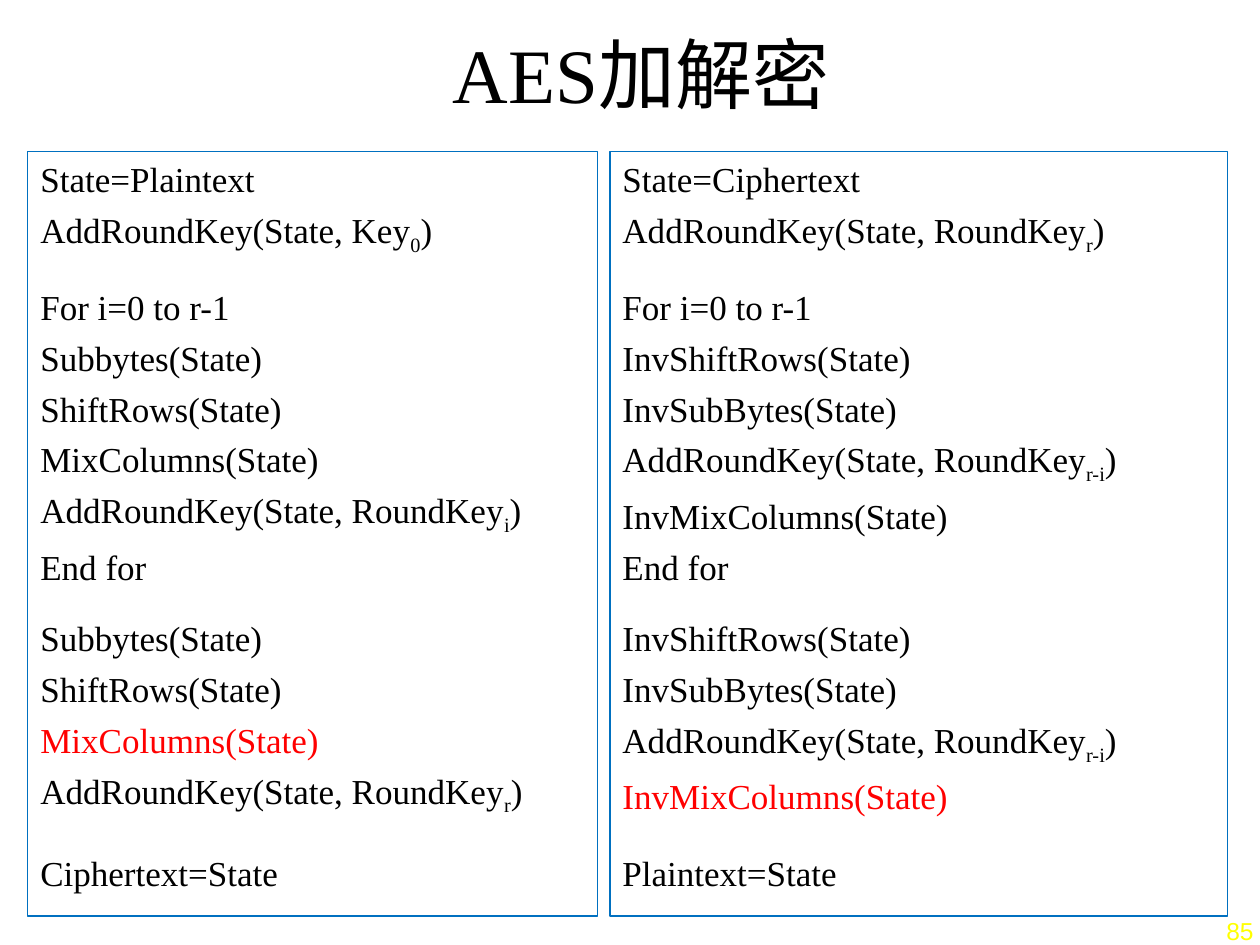
from pptx import Presentation
from pptx.dml.color import RGBColor
from pptx.enum.text import MSO_ANCHOR, MSO_AUTO_SIZE, PP_ALIGN
from pptx.util import Inches, Pt
from lxml import etree

TOP, MIDDLE = MSO_ANCHOR.TOP, MSO_ANCHOR.MIDDLE
CENTER, RIGHT = PP_ALIGN.CENTER, PP_ALIGN.RIGHT
NO_FIT = MSO_AUTO_SIZE.NONE
A = "{http://schemas.openxmlformats.org/drawingml/2006/main}"

THEME = {
    "serif": "Times New Roman", "sans": "Arial",
    "title": 44, "body": 20, "page": 14,
    "ink": "000000", "alert": "FF0000", "edge": "0070C0", "number": "FFFF00",
}
TITLE = "AES加解密"
PAGE = "85"

COLUMNS = [
    (0.22, 4.52, [
        ["State=Plaintext", "AddRoundKey(State, Key|0|)"],
        ["For i=0 to r-1", "Subbytes(State)", "ShiftRows(State)",
         "MixColumns(State)", "AddRoundKey(State, RoundKey|i|)", "End for"],
        ["Subbytes(State)", "ShiftRows(State)", "!MixColumns(State)",
         "AddRoundKey(State, RoundKey|r|)"],
        ["Ciphertext=State"],
    ]),
    (4.84, 4.9, [
        ["State=Ciphertext", "AddRoundKey(State, RoundKey|r|)"],
        ["For i=0 to r-1", "InvShiftRows(State)", "InvSubBytes(State)",
         "AddRoundKey(State, RoundKey|r-i|)", "InvMixColumns(State)", "End for"],
        ["InvShiftRows(State)", "InvSubBytes(State)",
         "AddRoundKey(State, RoundKey|r-i|)", "!InvMixColumns(State)"],
        ["Plaintext=State"],
    ]),
]


def place(shape, left, top, width, height):
    shape.left, shape.top = Inches(left), Inches(top)
    shape.width, shape.height = Inches(width), Inches(height)


def style(para, face, size, color):
    font = para.font
    font.name, font.size = THEME[face], Pt(THEME[size])
    font.color.rgb = RGBColor.from_string(THEME[color])


def add_step(para, step):
    props = para._p.get_or_add_pPr()
    props.set("marL", str(Inches(0.5)))
    props.set("indent", str(-Inches(0.5)))
    etree.SubElement(props, A + "buNone")
    style(para, "serif", "body", "alert" if step.startswith("!") else "ink")
    for i, part in enumerate(step.lstrip("!").split("|")):
        run = para.add_run()
        run.text = part
        if i % 2:
            run.font._element.set("baseline", "-25000")


def fill_box(box, left, width, blocks):
    place(box, left, 1.2, width, 6.07)
    box.line.color.rgb = RGBColor.from_string(THEME["edge"])
    box.line.width = Pt(0.75)
    frame = box.text_frame
    frame.auto_size, frame.vertical_anchor = NO_FIT, TOP
    frame.margin_top = Inches(0.05)
    for b, block in enumerate(blocks):
        for s, step in enumerate(block):
            first = b == s == 0
            para = frame.paragraphs[0] if first else frame.add_paragraph()
            last = b == len(blocks) - 1
            para.space_before = Pt(0 if first else 8 if last else 5)
            para.space_after = Pt(12 if s == len(block) - 1 and not last else 0)
            add_step(para, step)


def main():
    """Build the slide that sets AES encryption beside decryption."""
    deck = Presentation()
    deck.slide_width, deck.slide_height = Inches(10), Inches(7.5)
    slide = deck.slides.add_slide(deck.slide_layouts[3])
    title, *boxes = slide.placeholders
    place(title, 0.84, -0.05, 8.5, 1.25)
    title.text_frame.text = TITLE
    title.text_frame.vertical_anchor = MIDDLE
    head = title.text_frame.paragraphs[0]
    head.alignment = CENTER
    style(head, "serif", "title", "ink")
    for box, column in zip(boxes, COLUMNS):
        fill_box(box, *column)
    page = slide.shapes.add_textbox(Inches(9), Inches(7.23), Inches(1), Inches(0.31))
    frame = page.text_frame
    frame.word_wrap, frame.vertical_anchor = True, MIDDLE
    frame.margin_left = frame.margin_right = Inches(0.05)
    frame.text = PAGE
    frame.paragraphs[0].alignment = RIGHT
    style(frame.paragraphs[0], "sans", "page", "number")
    deck.save("out.pptx")


if __name__ == "__main__":
    main()
